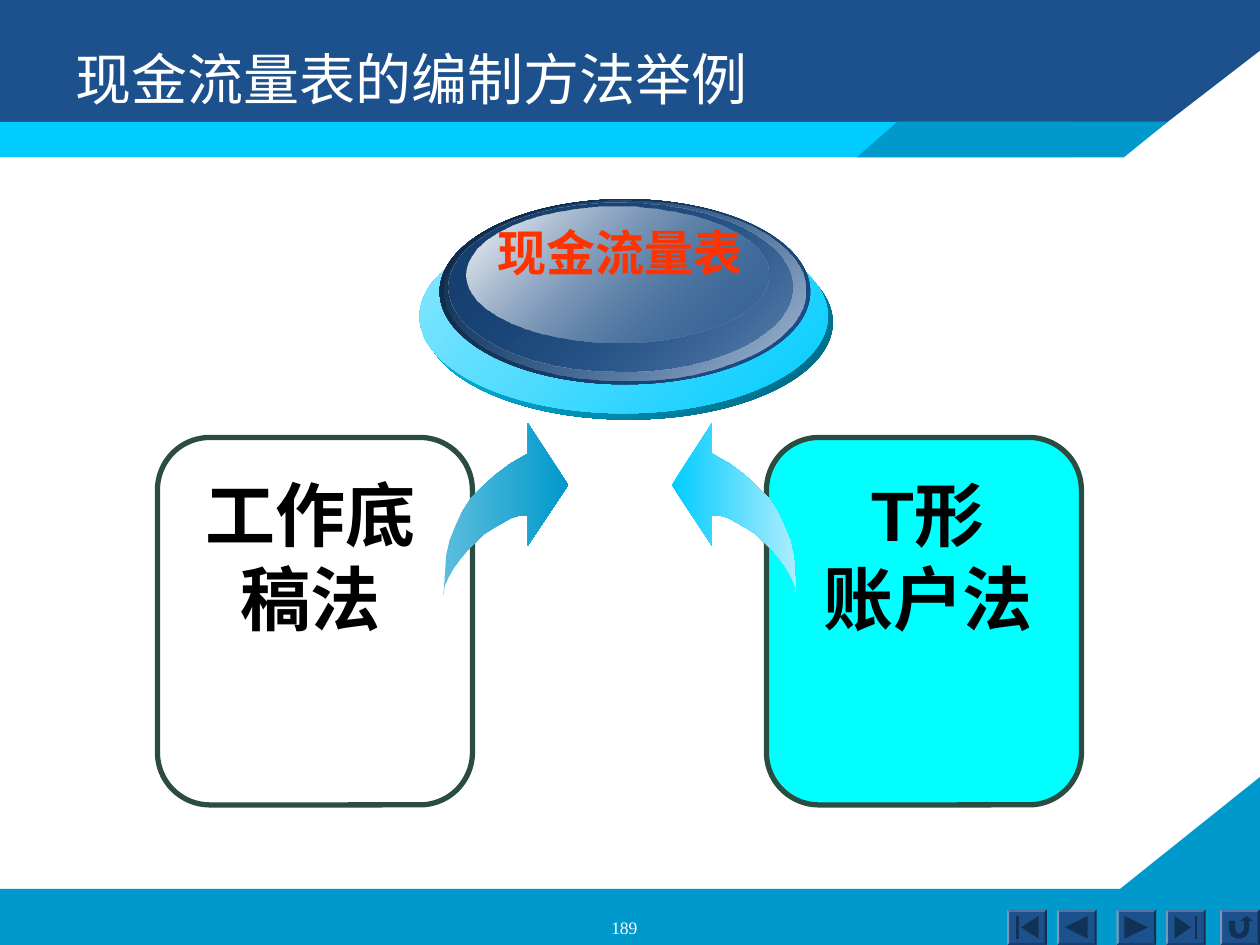
"""Build the slide on worked methods for preparing a cash flow statement."""
import pptx
import pptx.dml.color
import pptx.enum.shapes
import pptx.enum.text
import pptx.util
from lxml import etree

Pt = pptx.util.Pt
RGB = pptx.dml.color.RGBColor
SHAPE = pptx.enum.shapes.MSO_SHAPE
ALIGN = pptx.enum.text.PP_ALIGN
ANCHOR = pptx.enum.text.MSO_ANCHOR
NAVY = RGB(0x1D, 0x51, 0x8D)
DEEP_NAVY = RGB(0x16, 0x3F, 0x6F)
INK = RGB(0x0D, 0x25, 0x40)
ICON = RGB(0x11, 0x31, 0x55)
STEEL = RGB(0xAF, 0xC1, 0xD6)
BLUE = RGB(0x00, 0x99, 0xCB)
SOFT_BLUE = RGB(0x5C, 0xBD, 0xDD)
SKY = RGB(0x00, 0xCC, 0xFF)
PALE_SKY = RGB(0x8D, 0xE7, 0xFE)
LIGHT_SKY = RGB(0xAD, 0xED, 0xFE)
TEAL = RGB(0x00, 0x62, 0x7B)
CYAN = RGB(0x00, 0xFF, 0xFF)
GREEN = RGB(0x2A, 0x4C, 0x41)
RED = RGB(0xFF, 0x33, 0x00)
BLACK = RGB(0x00, 0x00, 0x00)
WHITE = RGB(0xFF, 0xFF, 0xFF)
NEAR_WHITE = RGB(0xFE, 0xFE, 0xFE)

prs = pptx.Presentation()
prs.slide_width, prs.slide_height = Pt(720), Pt(540)
s = prs.slides.add_slide(prs.slide_layouts[6])


def paint(sp, colors, angle=0, opacities=(100, 100)):
    """Give a shape no line and a solid or two-stop gradient fill."""
    sp.shadow.inherit = False
    sp.line.fill.background()
    if len(colors) == 1:
        sp.fill.solid()
        sp.fill.fore_color.rgb = colors[0]
        return
    sp.fill.gradient()
    sp.fill.gradient_angle = angle
    for stop, position, color, opacity in zip(sp.fill.gradient_stops, (0, 1), colors, opacities):
        stop.position = position
        stop.color.rgb = color
        if opacity < 100:
            node = sp.fill._xPr.findall(".//" + pptx.oxml.ns.qn("a:srgbClr"))[position]
            etree.SubElement(node, pptx.oxml.ns.qn("a:alpha"), val=str(opacity * 1000))


def outline(points, colors):
    """Draw a closed polygon through points given in points."""
    vertices = [(Pt(x), Pt(y)) for x, y in points]
    builder = s.shapes.build_freeform(*vertices[0], scale=1.0)
    builder.add_line_segments(vertices[1:], close=True)
    paint(builder.convert_to_shape(), colors)


outline([(0, 508), (640, 508), (720, 444), (720, 540), (0, 540)], [BLUE])
outline([(0, 0), (720, 0), (720, 29), (642.5, 88.8), (0, 89.3)], [NAVY])
sp = s.shapes.add_shape(SHAPE.RECTANGLE, 0, Pt(69.6), Pt(612), Pt(20.2))
paint(sp, [SKY])
outline([(489.6, 89.9), (642.3, 89.9), (667.4, 69.5), (513, 69.5)], [BLUE])

bar_left = [(5, 3.6), (6.5, 3.6), (6.5, 16.6), (5, 16.6)]
bar_right = [(16.5, 3.6), (18, 3.6), (18, 16.6), (16.5, 16.6)]
u_turn = [(5, 6.5), (8.6, 6.5), (8.6, 11.5), (10.1, 13.7), (11.5, 13.7), (13.7, 11.5),
          (13.7, 6.5), (11.5, 6.5), (15.1, 3.6), (18.7, 6.5), (16.6, 6.5), (16.6, 11.5),
          (15.1, 15.1), (11.5, 16.6), (10.1, 16.6), (6.5, 15.1), (5, 11.5)]
buttons = [
    (575.5, [[(8, 10.1), (18, 3.6), (18, 16.6)], bar_left]),
    (604, [[(4.5, 10.1), (17.5, 3.6), (17.5, 16.6)]]),
    (638, [[(4.5, 3.6), (18, 10.1), (4.5, 16.6)]]),
    (666.2, [[(14.4, 10.1), (5, 16.6), (5, 3.6)], bar_right]),
    (697.2, [u_turn]),
]
BUTTON_TOP = 519.8
for left, icons in buttons:
    sp = s.shapes.add_shape(SHAPE.BEVEL, Pt(left), Pt(BUTTON_TOP), Pt(22.7), Pt(20.2))
    sp.adjustments[0] = 0.06
    paint(sp, [NAVY])
    for icon in icons:
        outline([(left + x, BUTTON_TOP + y) for x, y in icon], [ICON])

left_arrow = [
    (253.4, 339.8), (254.2, 329), (254.9, 318.2), (257, 308.9), (260.6, 300.2),
    (264.2, 292.3), (269.3, 284.4), (275.8, 277.9), (283, 271.4), (291.6, 265),
    (301.7, 259.2), (301.7, 241.9), (324.7, 277.2), (301.7, 311.8), (301.7, 294.5),
    (297.4, 294.5), (292.3, 295.9), (287.3, 298.8), (282.2, 301.7), (276.5, 305.3),
    (272.2, 309.6), (267.1, 314.6), (262.8, 319.7), (259.2, 324.7), (256.3, 329.8),
    (254.2, 334.8)]
right_arrow = [(708.5 - x, y) for x, y in left_arrow]
cards = [(90, None, left_arrow, [SOFT_BLUE, BLUE]),
         (438, CYAN, right_arrow, [SKY, LIGHT_SKY])]
for left, color, arrow, arrow_colors in cards:
    sp = s.shapes.add_shape(SHAPE.ROUNDED_RECTANGLE, Pt(left), Pt(250), Pt(180), Pt(210))
    sp.shadow.inherit = False
    sp.line.color.rgb = GREEN
    sp.line.width = Pt(3)
    if color is None:
        sp.fill.background()
    else:
        sp.fill.solid()
        sp.fill.fore_color.rgb = color
    outline(arrow, arrow_colors)

ellipses = [
    (242.6, 128.9, 233.3, 110.9, [TEAL, SKY], (100, 100)),
    (239.8, 125.3, 233.3, 110.9, [SKY, PALE_SKY], (100, 100)),
    (251.3, 113.8, 211.7, 105.8, [NAVY, INK], (100, 100)),
    (254.2, 114.5, 205.9, 103, [STEEL, NAVY], (100, 0)),
    (256.3, 115.9, 196.6, 96.5, [NAVY, DEEP_NAVY], (48, 100)),
    (266.4, 118.1, 172.8, 77.8, [NAVY, NEAR_WHITE], (38, 100)),
]
for left, top, width, height, colors, opacities in ellipses:
    sp = s.shapes.add_shape(SHAPE.OVAL, Pt(left), Pt(top), Pt(width), Pt(height))
    paint(sp, colors, 135, opacities)

texts = [
    ("工作底稿法", 97.2, 265.7, 160.6, 103.7, 40, "Arial", BLACK, True, ALIGN.CENTER, ANCHOR.MIDDLE),
    ("T形\n账户法", 450, 265.7, 160.6, 103.7, 40, "Arial", BLACK, True, ALIGN.CENTER, ANCHOR.TOP),
    ("现金流量表", 277.2, 123.8, 154.1, 41, 28, "Arial", RED, True, ALIGN.CENTER, ANCHOR.TOP),
    ("现金流量表的编制方法举例", 36, 21.6, 648, 90, 32, "Noto Sans CJK SC", WHITE, False, ALIGN.LEFT, ANCHOR.TOP),
    ("189", 272.9, 520.6, 167.8, 13, 10, "Times New Roman", WHITE, False, ALIGN.CENTER, ANCHOR.TOP),
]
for text, left, top, width, height, size, font, color, bold, align, anchor in texts:
    tf = s.shapes.add_textbox(Pt(left), Pt(top), Pt(width), Pt(height)).text_frame
    tf.word_wrap = text != "现金流量表"
    tf.vertical_anchor = anchor
    tf.text = text
    for p in tf.paragraphs:
        p.alignment = align
        for r in p.runs:
            r.font.name = font
            r.font.size = Pt(size)
            r.font.bold = bold
            r.font.color.rgb = color

prs.save("out.pptx")
